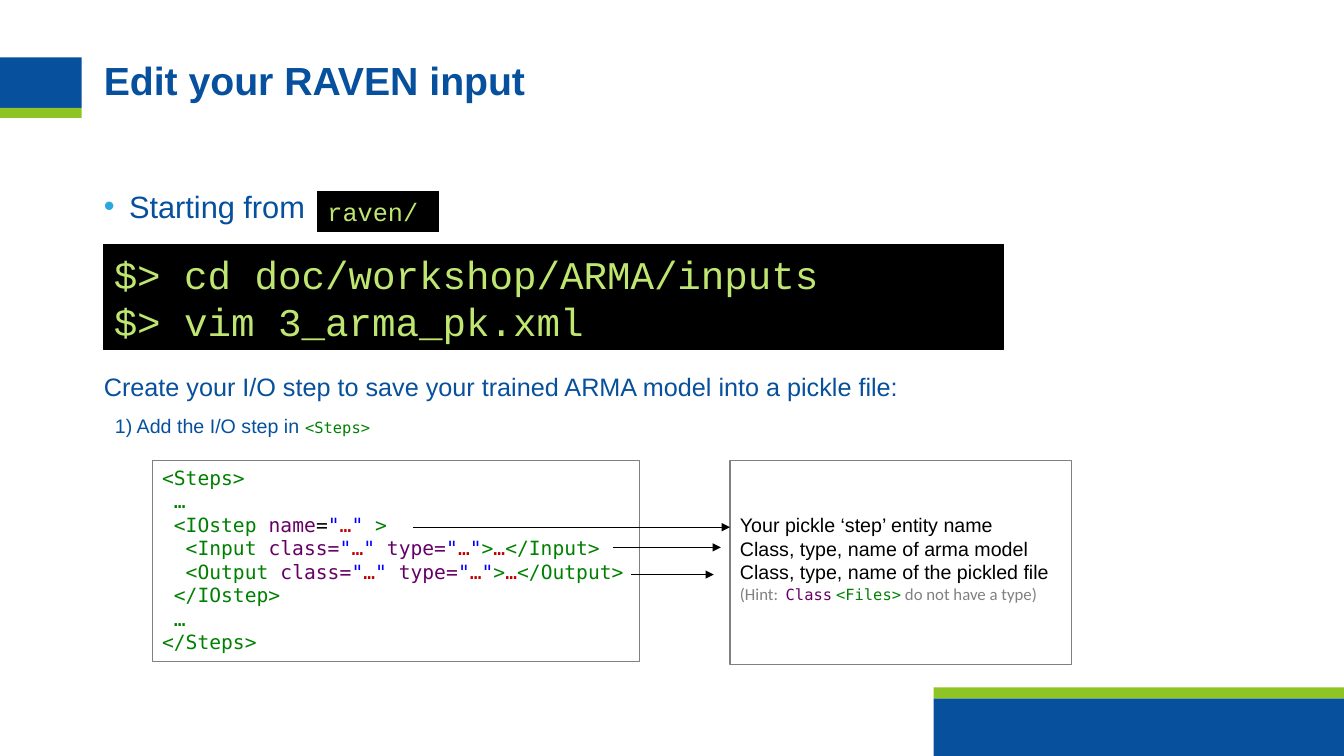
from lxml import etree
from pptx import Presentation
from pptx.dml.color import RGBColor
from pptx.enum import shapes, text
from pptx.oxml import ns
from pptx.util import Inches, Pt

BLUE = RGBColor(0x06, 0x50, 0x9D)
LIME = RGBColor(0x8E, 0xC4, 0x23)
SKY = RGBColor(0x2C, 0xA8, 0xE1)
PROMPT = RGBColor(0xBF, 0xE6, 0x71)
BLACK = RGBColor(0, 0, 0)
WHITE = RGBColor(0xFF, 0xFF, 0xFF)
GRAY = RGBColor(0x80, 0x80, 0x80)
TAG = RGBColor(0, 0x80, 0)
ATTRIBUTE = RGBColor(0x66, 0, 0x66)
QUOTE = RGBColor(0, 0, 0xFF)
VALUE = RGBColor(0xC0, 0, 0)

SANS, HINT_FONT = "Arial", "Calibri"
TERMINAL, CODE = "Courier New", "DejaVu Sans Mono"


def styled(content, color, size=14, font=SANS, bold=False):
    return content, color, size, font, bold


def code(content, color=TAG, size=14):
    return styled(content, color, size, CODE)


def quoted(closing='"'):
    return [code('"', QUOTE), code("…", VALUE), code(closing, QUOTE)]


def element(name):
    return [code(f"  <{name}"), code(" class=", ATTRIBUTE), *quoted(),
            code(" type=", ATTRIBUTE), *quoted(), code(">"),
            code("…", VALUE), code(f"</{name}>")]


def write(frame, lines, spacing=None, gap=0):
    frame.word_wrap = True
    frame.vertical_anchor = text.MSO_ANCHOR.TOP
    for number, spans in enumerate(lines):
        para = frame.add_paragraph() if number else frame.paragraphs[0]
        para.alignment = text.PP_ALIGN.LEFT
        if spacing:
            para.line_spacing = spacing
        if number and gap:
            para.space_before = Pt(gap)
        for content, color, size, font, bold in spans:
            span = para.add_run()
            span.text = content
            span.font.name = font
            span.font.size = Pt(size)
            span.font.bold = bold
            span.font.color.rgb = color


def add_panel(page, left, top, width, height, fill, outline=None):
    box = page.shapes.add_shape(shapes.MSO_SHAPE.RECTANGLE, Inches(left),
                                Inches(top), Inches(width), Inches(height))
    box.shadow.inherit = False
    box.fill.solid()
    box.fill.fore_color.rgb = fill
    if outline is None:
        box.line.fill.background()
    else:
        box.line.color.rgb = outline
        box.line.width = Pt(0.75)
    return box.text_frame


def add_text(page, left, top, width, height, lines):
    box = page.shapes.add_textbox(Inches(left), Inches(top),
                                  Inches(width), Inches(height))
    frame = box.text_frame
    frame.margin_left = frame.margin_top = 0
    write(frame, lines, spacing=0.9, gap=10)
    return frame


def indent(para, left, hanging=0):
    properties = para._p.get_or_add_pPr()
    properties.set("marL", str(Inches(left)))
    properties.set("indent", str(-Inches(hanging)))
    return properties


def add_bullet(para, color):
    properties = indent(para, 0.25, 0.25)
    bullet_color = etree.SubElement(properties, ns.qn("a:buClr"))
    etree.SubElement(bullet_color, ns.qn("a:srgbClr"), val=str(color))
    etree.SubElement(properties, ns.qn("a:buFont"), typeface=SANS)
    etree.SubElement(properties, ns.qn("a:buChar"), char="•")


def add_arrow(page, start, end, height):
    arrow = page.shapes.add_connector(
        shapes.MSO_CONNECTOR.STRAIGHT, Inches(start), Inches(height),
        Inches(end), Inches(height))
    arrow.line.color.rgb = BLACK
    arrow.line.width = Pt(0.75)
    etree.SubElement(arrow.line._get_or_add_ln(), ns.qn("a:tailEnd"),
                     type="triangle")
    etree.SubElement(arrow._element.spPr, ns.qn("a:effectLst"))


def main():
    deck = Presentation()
    deck.slide_width, deck.slide_height = Inches(13.33), Inches(7.5)
    page = deck.slides.add_slide(deck.slide_layouts[6])

    add_panel(page, 9.26, 6.93, 4.07, 0.57, BLUE)
    add_panel(page, 9.26, 6.82, 4.07, 0.11, LIME)
    add_panel(page, 0, 0.57, 0.81, 0.5, BLUE)
    add_panel(page, 0, 1.07, 0.81, 0.1, LIME)

    add_text(page, 1.03, 0.61, 11.39, 1.1,
             [[styled("Edit your RAVEN input", BLUE, 28, bold=True)]])
    start = add_text(page, 1.03, 1.9, 2.12, 0.4,
                     [[styled("Starting from", BLUE, 22)]])
    add_bullet(start.paragraphs[0], SKY)
    task = add_text(page, 1.03, 3.72, 11.39, 0.7, [
        [styled("Create your I/O step to save your trained ARMA model "
                "into a pickle file:", BLUE, 18)],
        [styled("1) Add the I/O step in ", BLUE), code("<Steps>", size=11)],
    ])
    indent(task.paragraphs[1], 0.11)

    commands = ["$> cd doc/workshop/ARMA/inputs", "$> vim 3_arma_pk.xml"]
    write(add_panel(page, 1.03, 2.43, 8.92, 1.04, BLACK, BLACK),
          [[styled(command, PROMPT, 28, TERMINAL)] for command in commands])
    write(add_panel(page, 3.15, 1.9, 1.2, 0.4, BLACK, BLACK),
          [[styled("raven/", PROMPT, 18, TERMINAL)]])

    write(add_panel(page, 1.51, 4.57, 4.83, 1.99, WHITE, GRAY), [
        [code("<Steps>")],
        [code(" …")],
        [code(" <IOstep "), code("name", ATTRIBUTE), code("=", BLACK),
         *quoted('" '), code(">")],
        element("Input"),
        element("Output"),
        [code(" </IOstep>")],
        [code(" …")],
        [code("</Steps>")],
    ])

    notes = add_panel(page, 7.24, 4.57, 3.39, 2.02, WHITE, GRAY)
    notes.margin_top = Inches(0.52)
    write(notes, [
        [styled("Your pickle ‘step’ entity name", BLACK)],
        [styled("Class, type, name of arma model", BLACK)],
        [styled("Class, type, name of the pickled file", BLACK)],
        [styled("(Hint:  ", GRAY, 12, HINT_FONT), code("Class", ATTRIBUTE, 11),
         styled(" ", GRAY, 12, HINT_FONT), code("<Files>", size=11),
         styled(" do not have a type)", GRAY, 12, HINT_FONT)],
    ])

    for start_x, end_x, height in [(4.1, 7.24, 5.23), (6.08, 7.15, 5.43),
                                   (6.26, 7.08, 5.7)]:
        add_arrow(page, start_x, end_x, height)

    deck.save("out.pptx")


if __name__ == "__main__":
    main()
